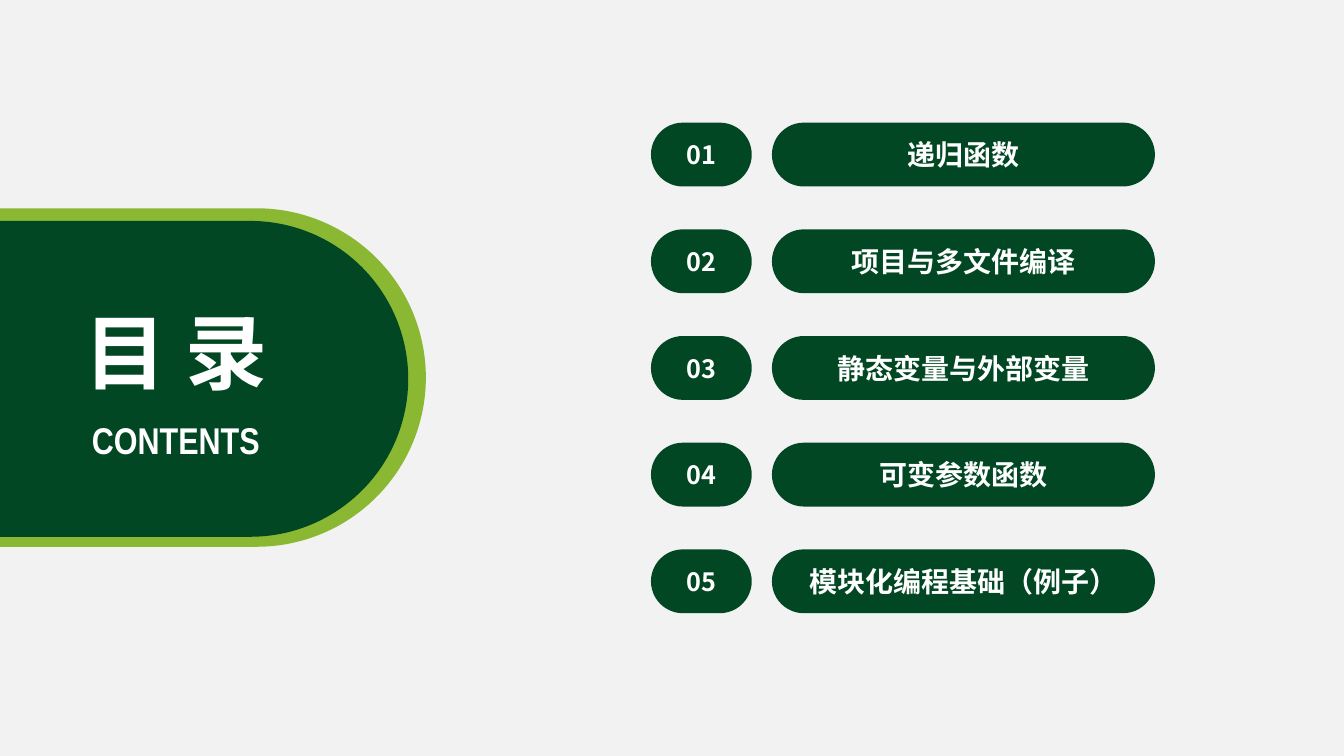
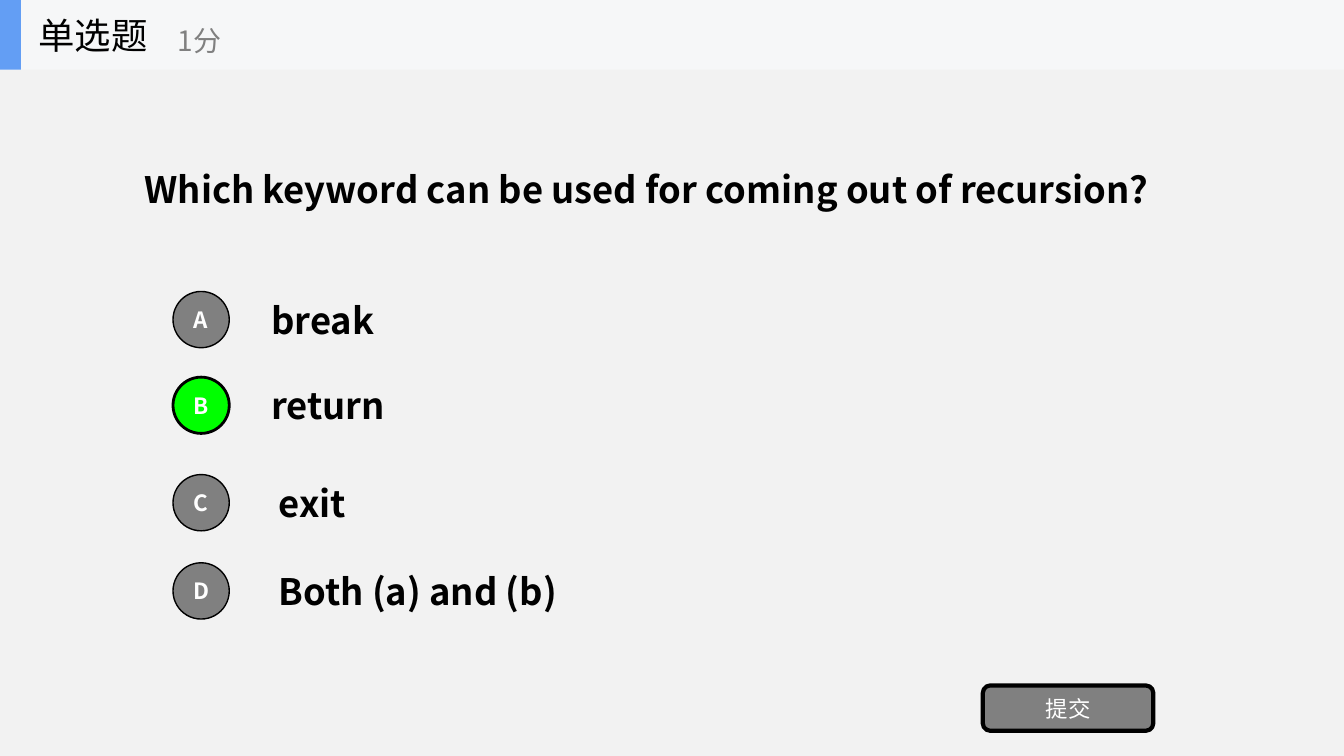
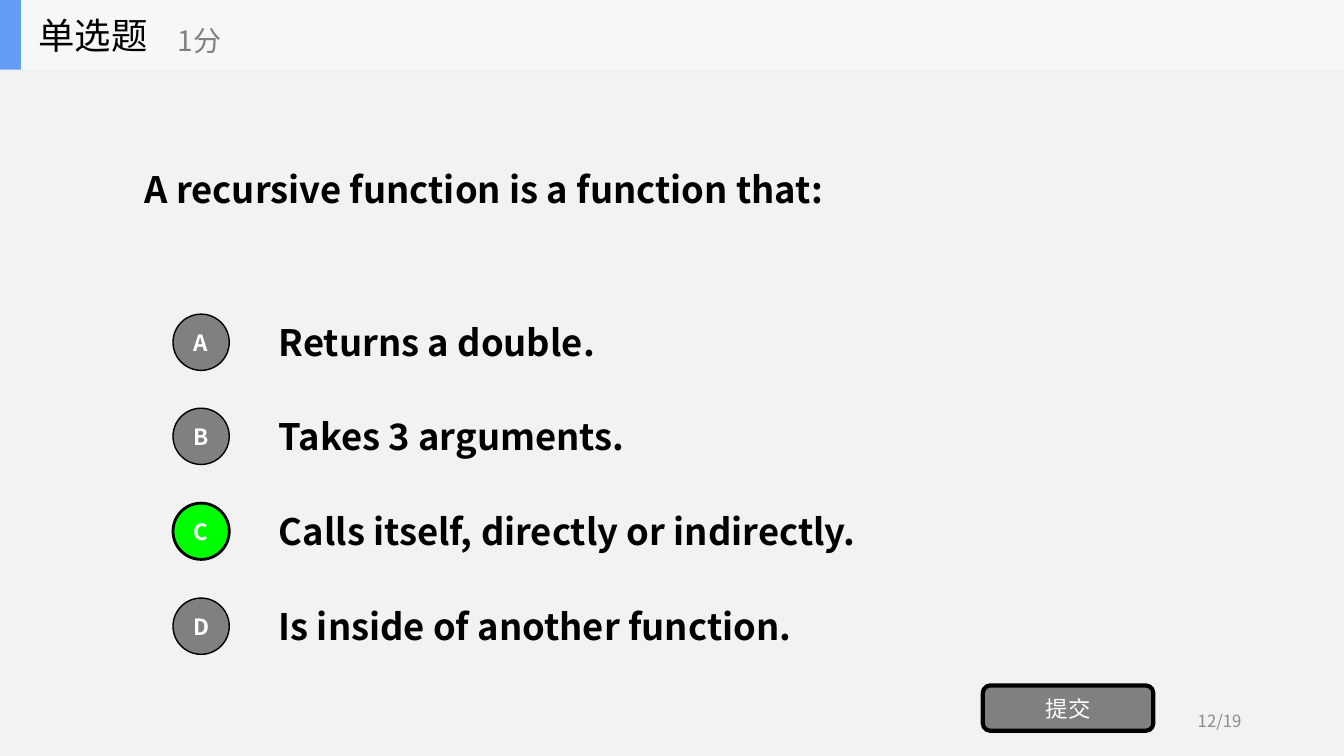
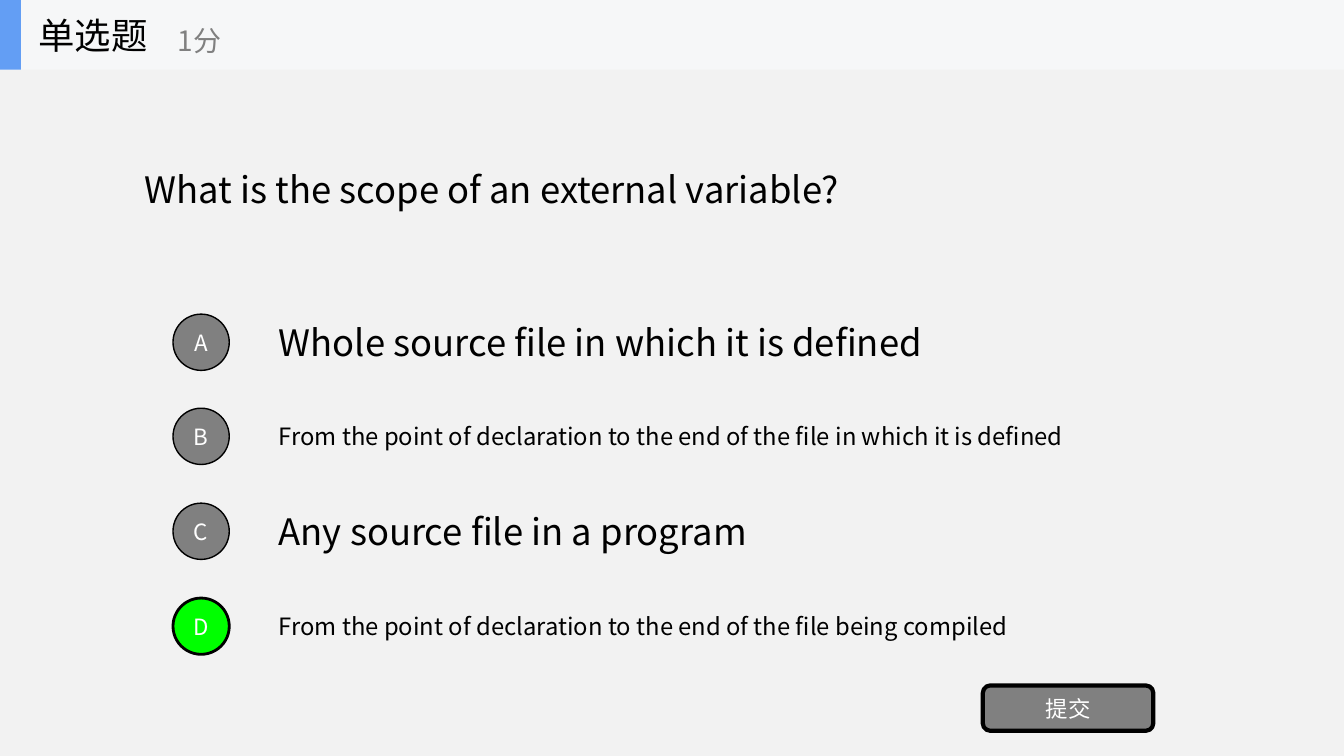
from dataclasses import dataclass

from lxml import etree
from pptx import Presentation
from pptx.dml.color import RGBColor
from pptx.enum.shapes import MSO_SHAPE as SHAPE
from pptx.enum.text import MSO_ANCHOR as ANCHOR, MSO_AUTO_SIZE as AUTO_SIZE, PP_ALIGN as ALIGN
from pptx.oxml.ns import qn
from pptx.util import Emu, Pt

PX = 7620  # EMU in one px, 120 px to the inch
SLIDE_W, SLIDE_H = 1600, 900
TITLE_ONLY = 5

PAPER = RGBColor(0xF2, 0xF2, 0xF2)
WHITE = RGBColor(0xFF, 0xFF, 0xFF)
BLACK = RGBColor(0x00, 0x00, 0x00)
DARK_GREEN = RGBColor(0x01, 0x47, 0x23)
LEAF_GREEN = RGBColor(0x8A, 0xB8, 0x33)
CORRECT = RGBColor(0x00, 0xFF, 0x00)
GREY = RGBColor(0x80, 0x80, 0x80)
PAGE_GREY = RGBColor(0x8C, 0x8C, 0x8C)
BAND = RGBColor(0xF6, 0xF7, 0xF8)
BLUE = RGBColor(0x63, 0x9E, 0xF4)

CJK = "Noto Sans CJK SC"
NARROW = "Arial Narrow"


@dataclass
class Option:
    text: str
    width: int
    size: int = 26
    x: int = 320


@dataclass
class Question:
    text: str
    width: int
    options: list
    answer: str
    tops: tuple = (374, 486, 599, 712)
    bold: bool = True
    page: str = ""


TOPICS = ["递归函数", "项目与多文件编译", "静态变量与外部变量", "可变参数函数", "模块化编程基础（例子）"]

QUESTIONS = [
    Question(
        "Which keyword can be used for coming out of recursion?", 1264,
        [Option("break", 199, x=311), Option("return", 232, x=311),
         Option("exit", 232), Option("Both (a) and (b)", 748)],
        answer="B", tops=(347, 449, 565, 670)),
    Question(
        "A recursive function is a function that:", 1000,
        [Option("Returns a double.", 672), Option("Takes 3 arguments.", 714),
         Option("Calls itself, directly or indirectly.", 1045),
         Option("Is inside of another function.", 977)],
        answer="C", page="12/19"),
    Question(
        "What is the scope of an external variable?", 886,
        [Option("Whole source file in which it is defined", 823),
         Option("From the point of declaration to the end of the file in which it is defined", 997, 17),
         Option("Any source file in a program", 610),
         Option("From the point of declaration to the end of the file being compiled", 929, 17)],
        answer="D", bold=False),
]


def emu(*lengths):
    return [Emu(n * PX) for n in lengths]


def write(sp, text, size, color, bold=False, align=ALIGN.LEFT, font=CJK):
    """Put one formatted run in a shape, centred vertically."""
    tf = sp.text_frame
    tf.word_wrap = True
    tf.auto_size = AUTO_SIZE.NONE
    tf.vertical_anchor = ANCHOR.MIDDLE
    p = tf.paragraphs[0]
    p.alignment = align
    r = p.add_run()
    r.text = text
    r.font.name = font
    r.font.size = Pt(size)
    r.font.bold = bold
    r.font.color.rgb = color
    etree.SubElement(r.font._element, qn("a:ea"), typeface=font)


def add_text(shapes, box, text, size, color, **style):
    write(shapes.add_textbox(*emu(*box)), text, size, color, **style)


def add_block(shapes, kind, box, fill, line_pt=0, radius=None):
    sp = shapes.add_shape(kind, *emu(*box))
    sp.shadow.inherit = False
    sp.fill.solid()
    sp.fill.fore_color.rgb = fill
    if line_pt:
        sp.line.color.rgb = BLACK
        sp.line.width = Pt(line_pt)
    else:
        sp.line.fill.background()
    if radius is not None:
        sp.adjustments[0] = radius
    return sp


def add_pill(shapes, box, fill):
    return add_block(shapes, SHAPE.ROUNDED_RECTANGLE, box, fill, radius=0.5)


def set_title(slide, box, text, size, color, **style):
    """Place the title placeholder and bring it to the front."""
    title = slide.shapes.title
    title.left, title.top, title.width, title.height = emu(*box)
    write(title, text, size, color, **style)
    slide.shapes.element.append(title.element)


def contents_panel(slide, x, y):
    shapes = slide.shapes
    add_pill(shapes, (x, y, 742, 403), LEAF_GREEN)
    add_pill(shapes, (x + 31, y + 15, 690, 376), DARK_GREEN)
    set_title(slide, (x + 319, y + 104, 251, 131), "目 录", 58.6, WHITE,
              bold=True, align=ALIGN.CENTER)
    add_text(shapes, (x + 309, y + 242, 271, 66), "CONTENTS", 26.6, WHITE,
             bold=True, align=ALIGN.CENTER, font=NARROW)


def topic_list(shapes, x, y, pitch=127, height=76):
    for i, topic in enumerate(TOPICS):
        top = y + i * pitch
        for left, width, text, size in ((x, 120, f"{i + 1:02}", 18),
                                        (x + 144, 456, topic, 20)):
            sp = add_pill(shapes, (left, top, width, height), DARK_GREEN)
            write(sp, text, size, WHITE, bold=True, align=ALIGN.CENTER)


def header(slide, x, y, w, h):
    shapes = slide.shapes.add_group_shape().shapes
    add_block(shapes, SHAPE.RECTANGLE, (x, y, w, h), BAND)
    add_block(shapes, SHAPE.RECTANGLE, (x, y, 25, h), BLUE)
    add_text(shapes, (x + 34, y, 250, h), "单选题", 26, BLACK)
    add_text(shapes, (x + 200, y + 15, 300, 67), "1分", 20, GREY)


def option_row(shapes, x, y, letter, option, question):
    """Lettered circle with its answer text centred beside it."""
    side = 67
    correct = letter == question.answer
    circle = add_block(shapes, SHAPE.OVAL, (x, y, side, side),
                       CORRECT if correct else GREY, line_pt=2 if correct else 1)
    write(circle, letter, 16, WHITE, bold=question.bold, align=ALIGN.CENTER)
    height = 65 if option.size > 20 else 47
    add_text(shapes, (option.x, y + (side - height) // 2, option.width, height),
             option.text, option.size, BLACK, bold=question.bold)


def submit_button(shapes, x, y):
    sp = add_block(shapes, SHAPE.ROUNDED_RECTANGLE, (x, y, 203, 54), GREY, line_pt=3)
    write(sp, "提交", 16, WHITE, align=ALIGN.CENTER)


def contents_slide(slide):
    contents_panel(slide, -235, 248)
    topic_list(slide.shapes, 775, 146)


def question_slide(slide, question):
    shapes = slide.shapes
    set_title(slide, (160, 192, question.width, 65), question.text, 26, BLACK,
              bold=question.bold)
    for letter, top, option in zip("ABCD", question.tops, question.options):
        option_row(shapes, 206, top, letter, option, question)
    submit_button(shapes, 1170, 816)
    header(slide, 0, 0, SLIDE_W, 83)
    # Page number
    if question.page:
        add_text(shapes, (1130, 834, 360, 48), question.page, 12, PAGE_GREY,
                 align=ALIGN.RIGHT)


def main():
    prs = Presentation()
    prs.slide_width, prs.slide_height = emu(SLIDE_W, SLIDE_H)
    # Shared background
    fill = prs.slide_master.background.fill
    fill.solid()
    fill.fore_color.rgb = PAPER

    layout = prs.slide_layouts[TITLE_ONLY]
    contents_slide(prs.slides.add_slide(layout))
    for question in QUESTIONS:
        question_slide(prs.slides.add_slide(layout), question)
    prs.save("out.pptx")


if __name__ == "__main__":
    main()
